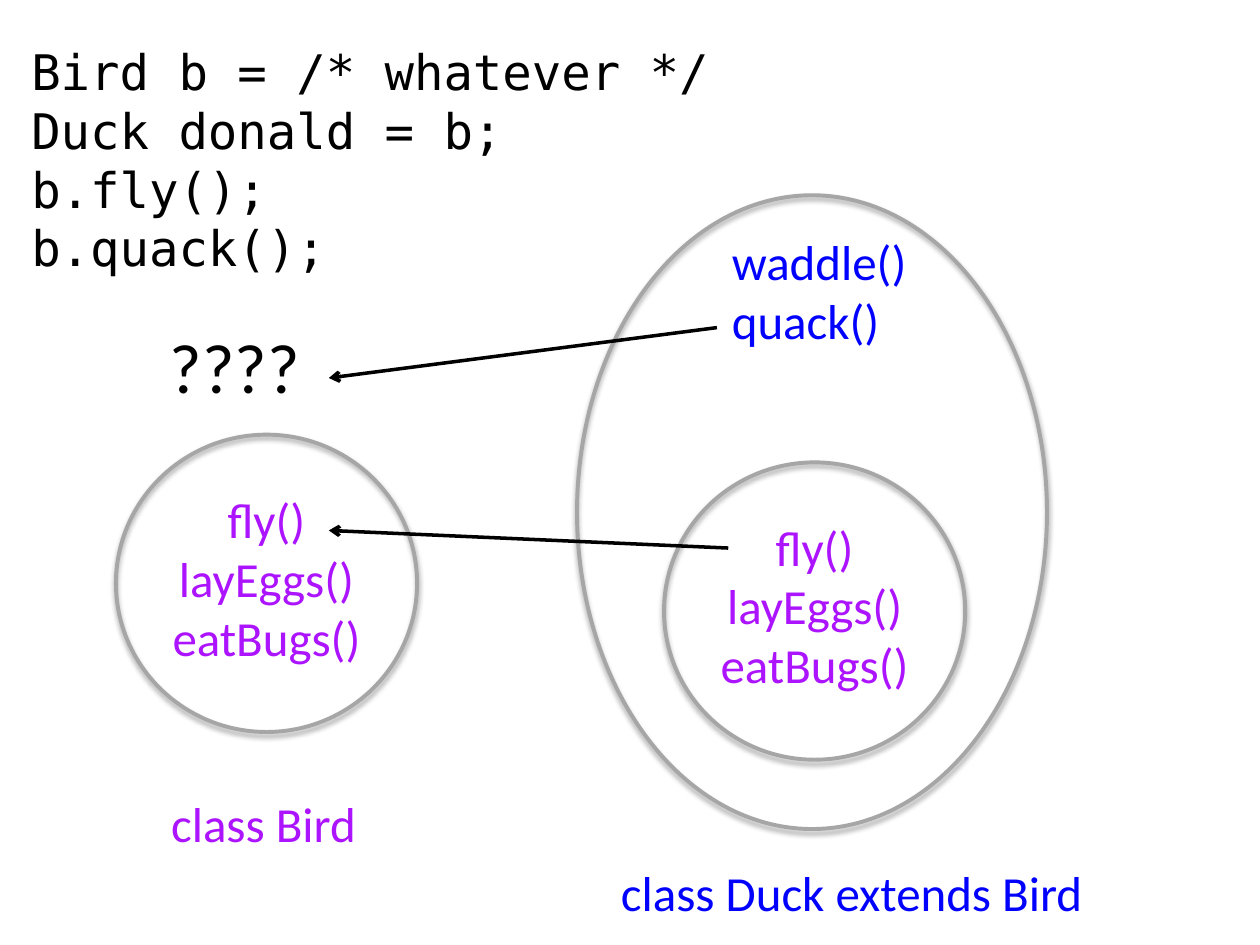
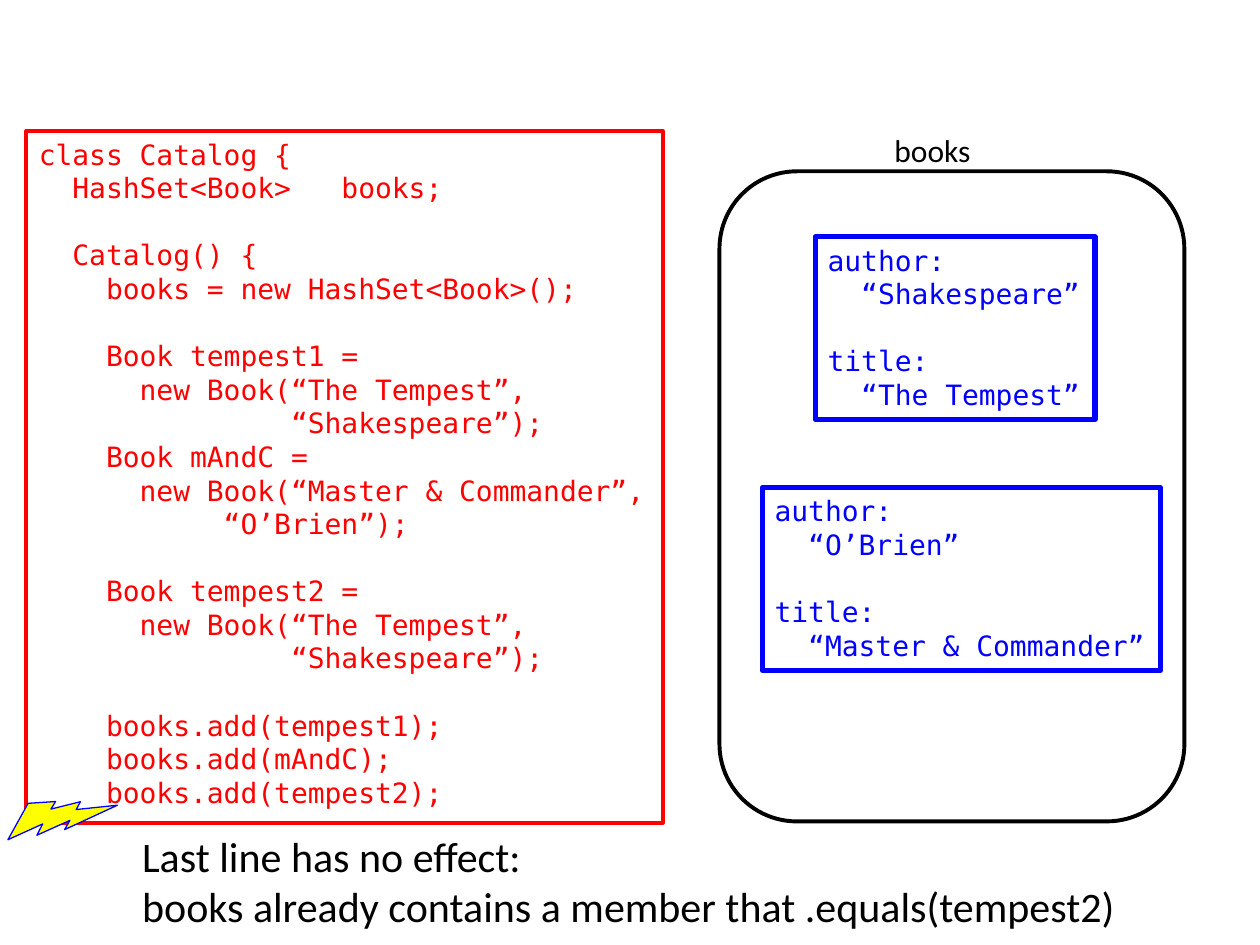
from lxml import etree
from pptx import Presentation
from pptx.dml.color import RGBColor
from pptx.enum.shapes import MSO_CONNECTOR, MSO_SHAPE
from pptx.enum.text import MSO_ANCHOR, MSO_AUTO_SIZE, PP_ALIGN
from pptx.oxml.ns import qn
from pptx.util import Inches, Pt

OVAL, RECT = MSO_SHAPE.OVAL, MSO_SHAPE.RECTANGLE
ROUNDED, BOLT = MSO_SHAPE.ROUNDED_RECTANGLE, MSO_SHAPE.LIGHTNING_BOLT
STRAIGHT = MSO_CONNECTOR.STRAIGHT
LEFT, CENTER = PP_ALIGN.LEFT, PP_ALIGN.CENTER
TOP = MSO_ANCHOR.TOP
GROW = MSO_AUTO_SIZE.SHAPE_TO_FIT_TEXT

BODY, CODE = "Calibri", "DejaVu Sans Mono"
BLACK, WHITE, GRAY = "000000", "FFFFFF", "A6A6A6"
PURPLE, BLUE, RED, YELLOW = "AC13FF", "0000FF", "FF0000", "FFFF00"

BIRD_METHODS = "fly()\nlayEggs()\neatBugs()"

CONVERSION_CODE = """Bird b = /* whatever */
Duck donald = b;
b.fly();
b.quack();"""

CATALOG_CODE = """class Catalog {
  HashSet<Book>   books;

  Catalog() {
    books = new HashSet<Book>();

    Book tempest1 =
      new Book(“The Tempest”,
               “Shakespeare”);
    Book mAndC =
      new Book(“Master & Commander”,
           “O’Brien”);

    Book tempest2 =
      new Book(“The Tempest”,
               “Shakespeare”);

    books.add(tempest1);
    books.add(mAndC);
    books.add(tempest2);"""


def rgb(color):
    return RGBColor.from_string(color)


def inches(*lengths):
    return [Inches(length) for length in lengths]


def write(shape, text, size, color, font, align=LEFT):
    frame = shape.text_frame
    frame.word_wrap = False
    frame.auto_size = GROW
    frame.vertical_anchor = TOP
    frame.text = text
    for paragraph in frame.paragraphs:
        paragraph.alignment = align
        for run in paragraph.runs:
            run.font.size = Pt(size)
            run.font.name = font
            run.font.color.rgb = rgb(color)
        if not paragraph.runs:  # blank code line keeps the code's line height
            end = etree.SubElement(paragraph._p, qn("a:endParaRPr"), sz=str(size * 100))
            etree.SubElement(end, qn("a:latin"), typeface=font)


def add_label(slide, box, text, size=28, color=BLACK, font=BODY, align=LEFT):
    write(slide.shapes.add_textbox(*inches(*box)), text, size, color, font, align)


def add_outline(slide, kind, box, color, width, fill=None):
    shape = slide.shapes.add_shape(kind, *inches(*box))
    shape.shadow.inherit = False
    if fill:
        shape.fill.solid()
        shape.fill.fore_color.rgb = rgb(fill)
    else:
        shape.fill.background()
    shape.line.color.rgb = rgb(color)
    shape.line.width = Pt(width)
    return shape


def add_class_oval(slide, box):
    """Gray ring with a soft shadow straight below it."""
    oval = add_outline(slide, OVAL, box, GRAY, 2.25)
    effects = oval._element.spPr.find(qn("a:effectLst"))
    shadow = etree.SubElement(effects, qn("a:outerShdw"), blurRad=str(Pt(3.1)),
                              dist=str(Pt(1.8)), dir="5400000", rotWithShape="0")
    shade = etree.SubElement(shadow, qn("a:srgbClr"), val=BLACK)
    etree.SubElement(shade, qn("a:alpha"), val="35000")


def add_bird_methods(slide, left, top):
    add_class_oval(slide, (left, top, 2.39, 2.36))
    add_label(slide, (left + 0.34, top + 0.385, 1.71, 1.51), BIRD_METHODS,
              color=PURPLE, align=CENTER)


def add_arrow(slide, start, end):
    arrow = slide.shapes.add_connector(STRAIGHT, *inches(*start, *end))
    arrow.line.color.rgb = rgb(BLACK)
    arrow.line.width = Pt(2)
    etree.SubElement(arrow.line._get_or_add_ln(), qn("a:tailEnd"), type="arrow")
    etree.SubElement(arrow._element.spPr, qn("a:effectLst"))


def add_code_box(slide, box, text, color, width):
    write(add_outline(slide, RECT, box, color, width), text, 16, color, CODE)


def add_book(slide, box, author, title):
    text = f"author:\n  “{author}”\n\ntitle:\n  “{title}”"
    add_code_box(slide, box, text, BLUE, 3)


def build_subclass_slide(slide):
    add_bird_methods(slide, 0.92, 3.45)
    add_label(slide, (1.26, 6.25, 1.69, 0.57), "class Bird", color=PURPLE)

    add_bird_methods(slide, 5.27, 3.67)
    add_class_oval(slide, (4.58, 1.55, 3.73, 5.03))
    add_label(slide, (5.71, 1.79, 1.61, 1.04), "waddle()\nquack()", color=BLUE)
    add_label(slide, (4.83, 6.8, 3.92, 0.57), "class Duck extends Bird", color=BLUE)

    add_label(slide, (0.15, 0.28, 5.62, 1.99), CONVERSION_CODE, font=CODE)
    add_arrow(slide, (5.78, 4.35), (2.61, 4.21))
    add_arrow(slide, (5.69, 2.6), (2.61, 3))
    add_label(slide, (1.25, 2.52, 1.24, 0.77), "????", size=40)


def build_hash_set_slide(slide):
    add_code_box(slide, (0.21, 1.04, 5.05, 5.49), CATALOG_CODE, RED, 2.25)
    bolt = add_outline(slide, BOLT, (0.06, 6.24, 0.81, 0.51), BLUE, 0.75, YELLOW)
    bolt.rotation = 315.2

    add_outline(slide, ROUNDED, (5.71, 1.36, 3.69, 5.16), BLACK, 2.25, WHITE)
    add_label(slide, (7, 0.99, 0.82, 0.4), "books", size=18)
    add_book(slide, (6.47, 1.88, 2.22, 1.45), "Shakespeare", "The Tempest")
    add_book(slide, (6.05, 3.87, 3.16, 1.45), "O’Brien", "Master & Commander")

    add_label(slide, (1.03, 6.54, 8.03, 0.91),
              "Last line has no effect:\n"
              "books already contains a member that .equals(tempest2)", size=24)


def main():
    deck = Presentation()
    deck.slide_width, deck.slide_height = inches(10, 7.5)
    blank = deck.slide_layouts[6]
    for build in (build_subclass_slide, build_hash_set_slide):
        build(deck.slides.add_slide(blank))
    deck.save("out.pptx")


if __name__ == "__main__":
    main()
